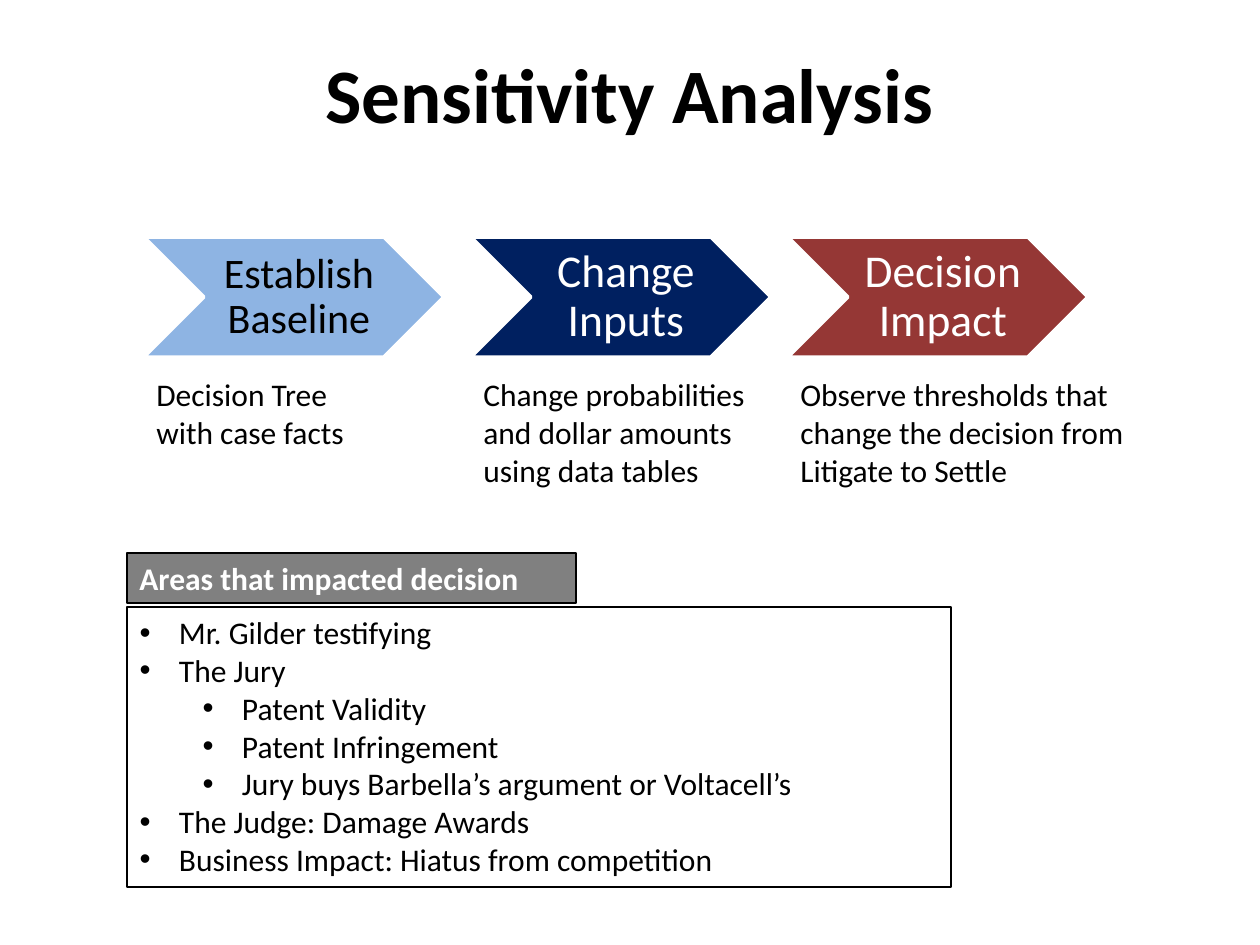
import pptx
import pptx.util
import pptx.dml.color
import pptx.enum.shapes
import pptx.enum.text
import pptx.oxml
import pptx.oxml.ns

PX = 914400 // 126
ALIGN = pptx.enum.text.PP_ALIGN
ANCHOR = pptx.enum.text.MSO_ANCHOR
SHAPE = pptx.enum.shapes.MSO_SHAPE


def color(value):
    """Return the colour for a hex string."""
    return pptx.dml.color.RGBColor.from_string(value)


def emu(*lengths):
    """Turn pixel lengths into EMU."""
    return [pptx.util.Emu(n * PX) for n in lengths]


def place(sp, box):
    """Move and size a shape to a pixel box."""
    sp.left, sp.top, sp.width, sp.height = emu(*box)


def put_text(p, text, size=18, fill="000000", bold=False, align=ALIGN.LEFT,
             spacing=1.0):
    """Write one formatted run into a paragraph."""
    p.alignment = align
    p.line_spacing = spacing
    p.space_before = p.space_after = pptx.util.Pt(0)
    r = p.add_run()
    r.text = text
    r.font.name = "Calibri"
    r.font.size = pptx.util.Pt(size)
    r.font.bold = bold
    r.font.color.rgb = color(fill)


def set_bullet(p, level):
    """Give a paragraph a round bullet and a hanging indent."""
    p.level = level
    pPr = p._p.get_or_add_pPr()
    pPr.set("marL", str(285750 + level * 457200))
    pPr.set("indent", "-285750")
    for tag, name, value in (("a:buFont", "typeface", "Arial"),
                             ("a:buChar", "char", "•")):
        bullet = pptx.oxml.parse_xml(
            f"<{tag} {pptx.oxml.ns.nsdecls('a')}/>")
        bullet.set(name, value)
        pPr.append(bullet)


def add_box(s, kind, box, fill, line, weight):
    """Add a filled and outlined preset shape."""
    sp = s.shapes.add_shape(kind, *emu(*box))
    sp.shadow.inherit = False
    sp.fill.solid()
    sp.fill.fore_color.rgb = color(fill)
    sp.line.color.rgb = color(line)
    sp.line.width = pptx.util.Pt(weight)
    return sp


def add_title(s, box, text):
    """Fill the title placeholder."""
    sp = s.shapes.title
    place(sp, box)
    sp.text_frame.vertical_anchor = ANCHOR.MIDDLE
    put_text(sp.text_frame.paragraphs[0], text, size=44, bold=True,
             align=ALIGN.CENTER)


def add_step(s, box, label, size, ink, fill, caption, caption_box):
    """Draw one chevron, with its caption offset from the chevron's corner."""
    x, y, w, h = box
    sp = add_box(s, SHAPE.CHEVRON, box, fill, "FFFFFF", 2)
    tf = sp.text_frame
    tf.word_wrap = True
    tf.vertical_anchor = ANCHOR.MIDDLE
    tf.margin_left, tf.margin_top, tf.margin_right, tf.margin_bottom = emu(
        14, 5, 4, 5)
    put_text(tf.paragraphs[0], label, size=size, fill=ink,
             align=ALIGN.CENTER, spacing=0.9)

    cw, ch = caption_box
    tf = s.shapes.add_textbox(*emu(x, y + h + 12, cw, ch)).text_frame
    tf.word_wrap = True
    put_text(tf.paragraphs[0], caption)


def add_areas(s, box, heading, items):
    """Draw the heading tab and the outlined bullet list below it."""
    x, y, w, h = box
    tab_w, tab_h, gap = 449, 50, 4
    body = s.placeholders[1]
    place(body, (x, y + tab_h + gap, w, h - tab_h - gap))
    body.line.color.rgb = color("000000")
    body.line.width = pptx.util.Pt(1.5)
    tf = body.text_frame
    tf.auto_size = pptx.enum.text.MSO_AUTO_SIZE.NONE
    tf.vertical_anchor = ANCHOR.TOP
    for i, (level, text) in enumerate(items):
        p = tf.add_paragraph() if i else tf.paragraphs[0]
        put_text(p, text)
        set_bullet(p, level)

    tab = add_box(s, SHAPE.RECTANGLE, (x, y, tab_w, tab_h), "808080",
                  "000000", 0.75)
    tab.text_frame.word_wrap = True
    tab.text_frame.vertical_anchor = ANCHOR.TOP
    put_text(tab.text_frame.paragraphs[0], heading, fill="FFFFFF", bold=True)


STEPS = [
    (144, "Establish Baseline", 24, "000000", "8EB4E3",
     "Decision Tree with case facts", (233, 89)),
    (471, "Change Inputs", 26, "FFFFFF", "002060",
     "Change probabilities and dollar amounts using data tables", (304, 127)),
    (788, "Decision Impact", 26, "FFFFFF", "953735",
     "Observe thresholds that change the decision from Litigate to Settle",
     (349, 127)),
]
AREAS = [
    (0, "Mr. Gilder testifying"),
    (0, "The Jury"),
    (1, "Patent Validity"),
    (1, "Patent Infringement"),
    (1, "Jury buys Barbella’s argument or Voltacell’s"),
    (0, "The Judge: Damage Awards"),
    (0, "Business Impact: Hiatus from competition"),
]

prs = pptx.Presentation()
prs.slide_width, prs.slide_height = emu(1260, 945)
s = prs.slides.add_slide(prs.slide_layouts[1])
add_title(s, (63, 38, 1134, 110), "Sensitivity Analysis")
for left, *step in STEPS:
    add_step(s, (left, 237, 300, 120), *step)
add_areas(s, (127, 553, 824, 334), "Areas that impacted decision", AREAS)
prs.save("out.pptx")
